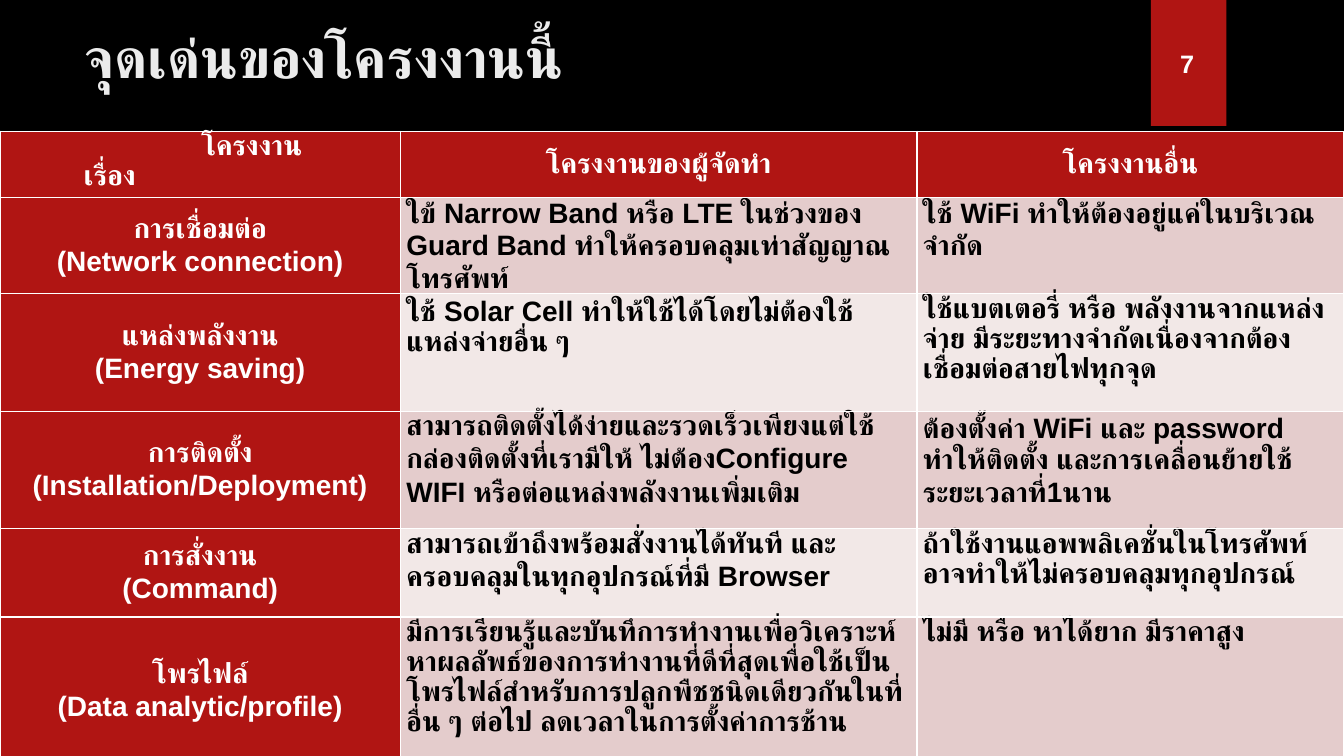
"""Build the slide that compares this project with other projects."""
from dataclasses import dataclass

from lxml import etree
from pptx import Presentation
from pptx.dml.color import RGBColor
from pptx.enum import shapes, text
from pptx.oxml import ns
from pptx.util import Pt

BLACK = RGBColor(0x00, 0x00, 0x00)
WHITE = RGBColor(0xFF, 0xFF, 0xFF)
TITLE_GREY = RGBColor(0xEB, 0xEB, 0xEB)
RED = RGBColor(0xB0, 0x15, 0x13)
BANDS = (RGBColor(0xE4, 0xCC, 0xCC), RGBColor(0xF2, 0xE8, 0xE7))

LEFT, CENTER = text.PP_ALIGN.LEFT, text.PP_ALIGN.CENTER
TOP, MIDDLE = text.MSO_ANCHOR.TOP, text.MSO_ANCHOR.MIDDLE
COLUMN_WIDTHS = (286, 369, 305)


@dataclass(frozen=True)
class Topic:
    """One row of the comparison."""

    height: float
    name: str
    ours: str
    others: str
    spacing: float = 1.07


HEADER = Topic(47, "โครงงาน\nเรื่อง", "โครงงานของผู้จัดทำ", "โครงงานอื่น", Pt(21.5))
TOPICS = (
    Topic(69, "การเชื่อมต่อ\n(Network connection)",
          "ใข้ Narrow Band หรือ LTE ในช่วงของ Guard Band ทำให้ครอบคลุมเท่าสัญญาณโทรศัพท์",
          "ใช้ WiFi ทำให้ต้องอยู่แค่ในบริเวณจำกัด", Pt(23)),
    Topic(84, "แหล่งพลังงาน\n(Energy saving)",
          "ใช้ Solar Cell ทำให้ใช้ได้โดยไม่ต้องใช้แหล่งจ่ายอื่น ๆ",
          "ใช้แบตเตอรี่ หรือ พลังงานจากแหล่งจ่าย มีระยะทางจำกัดเนื่องจากต้องเชื่อมต่อสายไฟทุกจุด"),
    Topic(84, "การติดตั้ง\n(Installation/Deployment)",
          "สามารถติดตั้งได้ง่ายและรวดเร็วเพียงแต่ใช้กล่องติดตั้งที่เรามีให้ "
          "ไม่ต้องConfigure WIFI หรือต่อแหล่งพลังงานเพิ่มเติม",
          "ต้องตั้งค่า WiFi และ password ทำให้ติดตั้ง และการเคลื่อนย้ายใช้ระยะเวลาที่1นาน"),
    Topic(63, "การสั่งงาน\n(Command)",
          "สามารถเข้าถึงพร้อมสั่งงานได้ทันที และครอบคลุมในทุกอุปกรณ์ที่มี Browser",
          "ถ้าใช้งานแอพพลิเคชั่นในโทรศัพท์ อาจทำให้ไม่ครอบคลุมทุกอุปกรณ์"),
    Topic(105, "โพรไฟล์\n(Data analytic/profile)",
          "มีการเรียนรู้และบันทึการทำงานเพื่อวิเคราะห์หาผลลัพธ์ของการทำงานที่ดีที่สุด"
          "เพื่อใช้เป็นโพรไฟล์สำหรับการปลูกพืชชนิดเดียวกันในที่อื่น ๆ ต่อไป "
          "ลดเวลาในการตั้งค่าการช้าน",
          "ไม่มี หรือ หาได้ยาก มีราคาสูง"),
)


def write(tf, content: str, *, size: float = 20, font: str = "Arial",
          color: RGBColor = WHITE, align=LEFT, spacing: float = 1.0,
          indents: tuple[float, ...] = ()) -> None:
    """Fill a text frame with one bold paragraph per line."""
    tf.word_wrap = True
    for i, line in enumerate(content.split("\n")):
        p = tf.add_paragraph() if i else tf.paragraphs[0]
        p.alignment = align
        p.line_spacing = spacing
        if indents:
            p._p.get_or_add_pPr().set("marL", str(Pt(indents[i])))
        r = p.add_run()
        r.text = line
        r.font.size = Pt(size)
        r.font.name = font
        r.font.bold = True
        r.font.color.rgb = color


def add_text(s, left: float, top: float, width: float, height: float,
             content: str, **style) -> None:
    """Add a text box."""
    tb = s.shapes.add_textbox(Pt(left), Pt(top), Pt(width), Pt(height))
    write(tb.text_frame, content, **style)


def style_cell(cell, fill: RGBColor, anchor) -> None:
    """Set the borders, fill, margins and anchor of a cell."""
    tc_pr = cell._tc.get_or_add_tcPr()
    for side in "LRTB":
        ln = etree.SubElement(tc_pr, ns.qn(f"a:ln{side}"), w=str(Pt(1)))
        solid = etree.SubElement(ln, ns.qn("a:solidFill"))
        etree.SubElement(solid, ns.qn("a:srgbClr"), val=str(WHITE))
    cell.fill.solid()
    cell.fill.fore_color.rgb = fill
    cell.margin_left = cell.margin_right = Pt(4.3)
    cell.margin_top = cell.margin_bottom = Pt(0)
    cell.vertical_anchor = anchor


def add_comparison(s, top: float) -> None:
    """Add the comparison table."""
    rows = (HEADER, *TOPICS)
    frame = s.shapes.add_table(
        len(rows), len(COLUMN_WIDTHS), Pt(0), Pt(top),
        Pt(sum(COLUMN_WIDTHS)), Pt(sum(row.height for row in rows)))
    table = frame.table
    for column, width in zip(table.columns, COLUMN_WIDTHS):
        column.width = Pt(width)
    for i, row in enumerate(rows):
        table.rows[i].height = Pt(row.height)
        for j, content in enumerate((row.name, row.ours, row.others)):
            cell = table.cell(i, j)
            heading = i == 0 or j == 0
            corner = i == 0 and j == 0
            centered = heading and not corner
            style_cell(cell, RED if heading else BANDS[(i - 1) % 2],
                       MIDDLE if centered else TOP)
            write(cell.text_frame, content,
                  spacing=1.07 if centered else row.spacing,
                  color=WHITE if heading else BLACK,
                  align=CENTER if centered else LEFT,
                  indents=(139.5, 55.5) if corner else ())


def main() -> None:
    """Create and save the presentation."""
    prs = Presentation()
    prs.slide_width, prs.slide_height = Pt(960), Pt(540)
    s = prs.slides.add_slide(prs.slide_layouts[6])
    s.background.fill.solid()
    s.background.fill.fore_color.rgb = BLACK

    sp = s.shapes.add_shape(shapes.MSO_SHAPE.RECTANGLE, Pt(822), Pt(0), Pt(54), Pt(90))
    sp.shadow.inherit = False
    sp.fill.solid()
    sp.fill.fore_color.rgb = RED
    sp.line.fill.background()

    add_text(s, 53.3, 12.5, 741, 110, "จุดเด่นของโครงงานนี้",
             size=40, font="Lato", color=TITLE_GREY)
    add_comparison(s, 93.8)
    add_text(s, 830, 31, 36, 29, "7", size=18, align=CENTER)
    prs.save("out.pptx")


if __name__ == "__main__":
    main()
